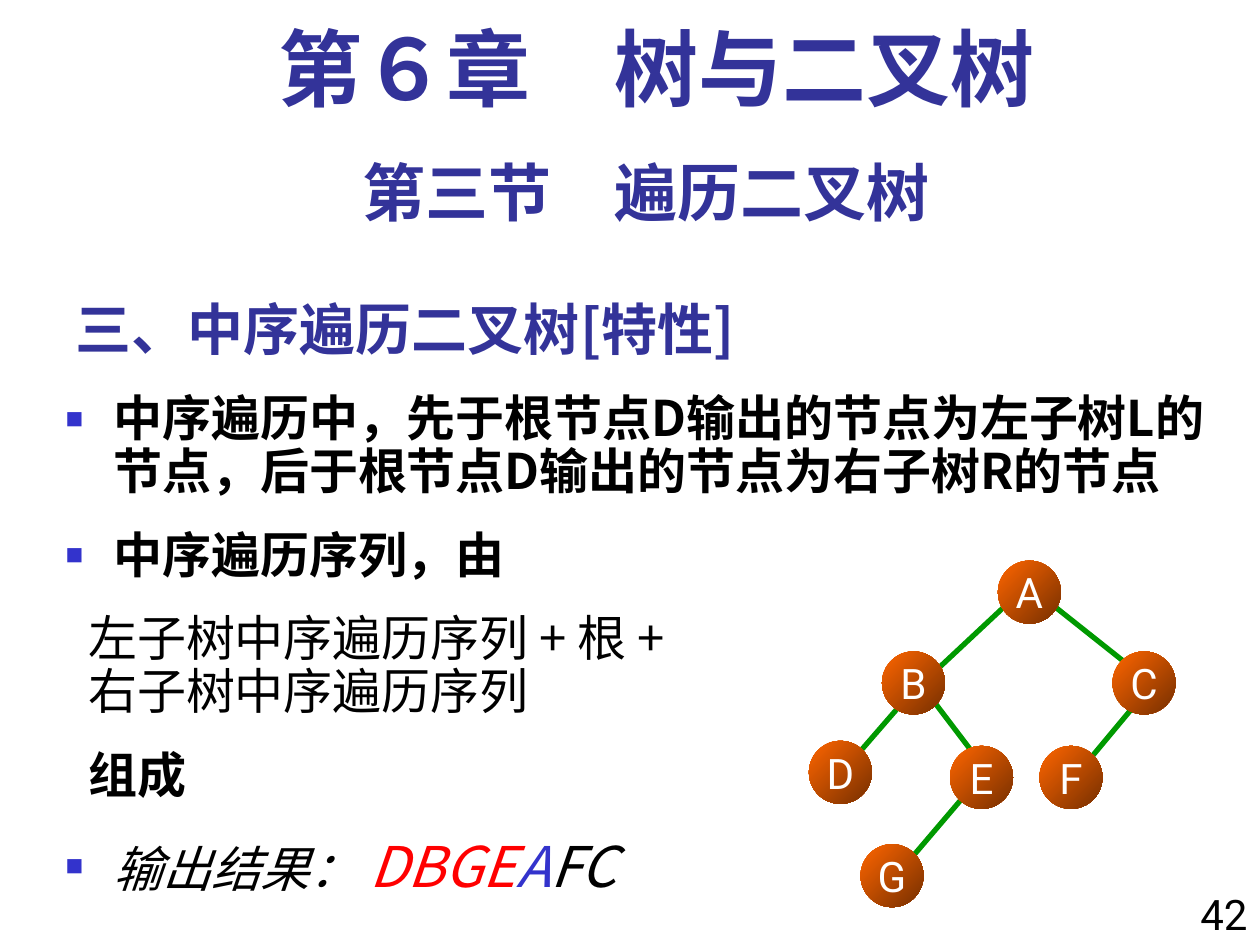
from lxml.etree import SubElement
from pptx import Presentation
from pptx.dml.color import RGBColor
from pptx.enum.shapes import MSO_CONNECTOR as CONNECTOR, MSO_SHAPE as SHAPE
from pptx.enum.text import MSO_ANCHOR as ANCHOR, MSO_AUTO_SIZE as AUTO_SIZE, PP_ALIGN as ALIGN
from pptx.oxml.ns import qn
from pptx.util import Inches, Pt

NAVY = RGBColor(0x33, 0x33, 0x99)
BLUE = RGBColor(0x33, 0x33, 0xCC)
RED = RGBColor(0xFF, 0x00, 0x00)
GREEN = RGBColor(0x00, 0x99, 0x00)
ORANGE = RGBColor(0xFF, 0x66, 0x00)
BROWN = RGBColor(0x76, 0x2F, 0x00)
BLACK = RGBColor(0, 0, 0)
WHITE = RGBColor(0xFF, 0xFF, 0xFF)
CJK, LATIN, SERIF = "Noto Sans CJK SC", "Roboto", "Times New Roman"

# Content
HEADING = "三、中序遍历二叉树[特性]"
# text, box, size, font, colour, bold, alignment
LABELS = [
    ("第６章　树与二叉树", (0.67, 0.17, 9.08, 0.83), 48, SERIF, NAVY, True, ALIGN.CENTER),
    ("第三节　遍历二叉树", (0.5, 1.17, 9.25, 0.7), 36, LATIN, NAVY, True, ALIGN.CENTER),
    ("42", (9.33, 7, 0.67, 0.59), 24, LATIN, BLACK, False, ALIGN.RIGHT),
]
# text, bulleted, bold, space before
POINTS = [
    ("中序遍历中，先于根节点D输出的节点为左子树L的节点，后于根节点D输出的节点为右子树R的节点",
     True, True, 0),
    ("中序遍历序列，由", True, True, 17.5),
    ("左子树中序遍历序列 + 根 +", False, False, 17.5),
    ("右子树中序遍历序列", False, False, 0),
    ("组成", False, True, 17.5),
]
RESULT = [("输出结果： ", 28, BLACK), ("DBGE", 32, RED), ("A", 32, BLUE), ("FC", 32, BLACK)]
NODE_SIZE = 0.5
NODES = {"A": (7.92, 4.45), "B": (7, 5.17), "C": (8.83, 5.17), "D": (6.42, 5.88),
         "E": (7.54, 5.92), "F": (8.25, 5.92), "G": (6.83, 6.7)}
EDGES = [
    (8.29, 4.75, 8.92, 5.25),  # A-C
    (8.04, 4.75, 7.42, 5.33),  # A-B
    (7.29, 5.43, 6.83, 5.96),  # B-D
    (7.33, 5.46, 7.71, 5.96),  # B-E
    (9.12, 5.46, 8.67, 6),     # C-F
    (7.71, 6.25, 7.25, 6.79),  # E-G
]


def format_run(run, size, font, color, bold=False, italic=False):
    run.font.size, run.font.name = Pt(size), font
    run.font.bold, run.font.italic = bold, italic
    run.font.color.rgb = color
    SubElement(run._r.get_or_add_rPr(), qn("a:ea"), typeface=CJK)


def place(shape, box):
    shape.left, shape.top, shape.width, shape.height = map(Inches, box)


def format_point(point, bulleted, space_before):
    point.line_spacing = 0.9
    point.space_before = Pt(space_before)
    margin, indent = (0.38, -0.38) if bulleted else (0.18, 0)
    props = point._p.get_or_add_pPr()
    props.set("marL", str(Inches(margin)))
    props.set("indent", str(Inches(indent)))
    if bulleted:
        bullet_color = SubElement(props, qn("a:buClr"))
        SubElement(bullet_color, qn("a:srgbClr"), val=str(BLUE))
        SubElement(props, qn("a:buSzPct"), val="60000")
        SubElement(props, qn("a:buChar"), char="■")
    else:
        SubElement(props, qn("a:buNone"))


prs = Presentation()
prs.slide_width, prs.slide_height = Inches(10), Inches(7.5)
slide = prs.slides.add_slide(prs.slide_layouts[1])

# Heading
title = slide.shapes.title
place(title, (0.5, 2.17, 6.25, 0.75))
title.text_frame.text = HEADING
title.text_frame.auto_size = AUTO_SIZE.NONE
title.text_frame.vertical_anchor = ANCHOR.BOTTOM
heading = title.text_frame.paragraphs[0]
heading.alignment = ALIGN.LEFT
format_run(heading.runs[0], 32, CJK, NAVY, bold=True)

# Points and the traversal result
body = slide.placeholders[1]
place(body, (0.42, 3.08, 9.58, 4.42))
frame = body.text_frame
frame.auto_size = AUTO_SIZE.NONE
frame.text = "\n".join(text for text, *_ in POINTS)
for point, (_, bulleted, bold, space_before) in zip(frame.paragraphs, POINTS):
    format_point(point, bulleted, space_before)
    format_run(point.runs[0], 28, CJK, BLACK, bold)
result = frame.add_paragraph()
format_point(result, True, 20)
for text, size, color in RESULT:
    part = result.add_run()
    part.text = text
    format_run(part, size, CJK, color, italic=True)

# Chapter, section and page number
for text, box, size, font, color, bold, align in LABELS:
    label = slide.shapes.add_textbox(*map(Inches, box)).text_frame
    label.word_wrap = True
    label.text = text
    label.paragraphs[0].alignment = align
    if size == 48:
        label.paragraphs[0].line_spacing = 0.9
    format_run(label.paragraphs[0].runs[0], size, font, color, bold)

# Tree: edges behind nodes
for ends in EDGES:
    edge = slide.shapes.add_connector(CONNECTOR.STRAIGHT, *map(Inches, ends))
    edge.line.color.rgb, edge.line.width = GREEN, Pt(3)
    SubElement(edge._element.spPr, qn("a:effectLst"))

for letter, (left, top) in NODES.items():
    node = slide.shapes.add_shape(
        SHAPE.OVAL, *map(Inches, (left, top, NODE_SIZE, NODE_SIZE)))
    node.shadow.inherit = False
    node.line.fill.background()
    node.fill.gradient()
    node.fill.gradient_angle = 315
    for stop, color in zip(node.fill.gradient_stops, (ORANGE, BROWN)):
        stop.color.rgb = color
    caption = node.text_frame
    caption.word_wrap = False
    caption.margin_left = caption.margin_right = 0
    caption.vertical_anchor = ANCHOR.MIDDLE
    caption.text = letter
    caption.paragraphs[0].alignment = ALIGN.CENTER
    format_run(caption.paragraphs[0].runs[0], 24, LATIN, WHITE)

prs.save("out.pptx")
